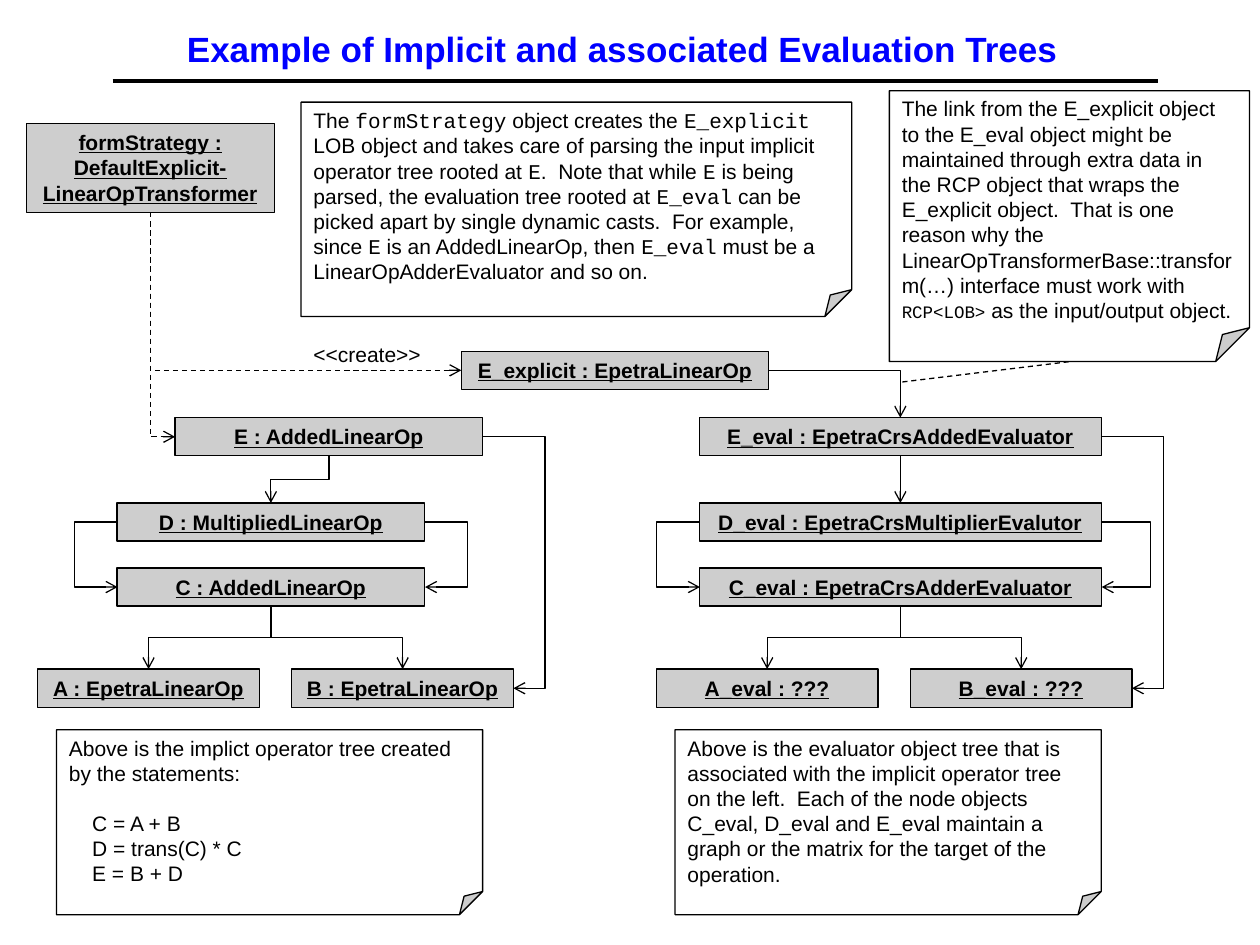
from dataclasses import dataclass

from lxml.etree import SubElement
from pptx import Presentation
from pptx.dml.color import RGBColor
from pptx.enum.dml import MSO_LINE
from pptx.enum.shapes import MSO_CONNECTOR, MSO_SHAPE
from pptx.enum.text import MSO_ANCHOR, PP_ALIGN
from pptx.oxml.ns import qn
from pptx.util import Cm, Pt

TOP, LEFT, BOTTOM, RIGHT = range(4)


@dataclass(frozen=True)
class Theme:
    ink: RGBColor = RGBColor(0, 0, 0)
    title: RGBColor = RGBColor(0, 0, 255)
    node: RGBColor = RGBColor(0xCE, 0xCE, 0xCE)
    note: RGBColor = RGBColor(255, 255, 255)
    sans: str = "Arial"
    mono: str = "Courier New"
    title_size: int = 20
    body_size: int = 12
    small_size: int = 10
    rule_width: float = 2
    line_width: float = 0.75


def side(box, which):
    """Middle of one side of a box."""
    x, y = box.left + box.width // 2, box.top + box.height // 2
    return ((x, box.top), (box.left, y),
            (x, box.top + box.height), (box.left + box.width, y))[which]


def adjust(item, name, ratio):
    """Set one adjustment of a preset geometry."""
    geometry = item._element.spPr.find(qn("a:prstGeom"))
    SubElement(geometry.find(qn("a:avLst")), qn("a:gd"),
               name=name, fmla=f"val {round(ratio * 100000)}")


class Diagram:
    def __init__(self, slide, theme):
        self.slide, self.theme = slide, theme

    def font(self, span, size=None, name=None, color=None, bold=False, underline=False):
        span.font.name = name or self.theme.sans
        span.font.size = Pt(size or self.theme.body_size)
        span.font.color.rgb = color or self.theme.ink
        span.font.bold, span.font.underline = bold, underline

    def text(self, text, x, y, width, height, align=PP_ALIGN.LEFT, wrap=True, **style):
        box = self.slide.shapes.add_textbox(Cm(x), Cm(y), Cm(width), Cm(height))
        box.text_frame.text = text
        box.text_frame.word_wrap = wrap
        box.text_frame.vertical_anchor = MSO_ANCHOR.MIDDLE
        para = box.text_frame.paragraphs[0]
        para.alignment = align
        self.font(para.runs[0], **style)

    def shape(self, kind, fill, x, y, width, height):
        box = self.slide.shapes.add_shape(kind, Cm(x), Cm(y), Cm(width), Cm(height))
        box.shadow.inherit = False
        box.fill.solid()
        box.fill.fore_color.rgb = fill
        box.line.color.rgb = self.theme.ink
        box.line.width = Pt(self.theme.line_width)
        box.text_frame.word_wrap = True
        return box

    def node(self, text, x, y, width, height=0.77):
        box = self.shape(MSO_SHAPE.RECTANGLE, self.theme.node, x, y, width, height)
        box.text_frame.text = text
        box.text_frame.vertical_anchor = MSO_ANCHOR.TOP
        para = box.text_frame.paragraphs[0]
        para.alignment = PP_ALIGN.CENTER
        self.font(para.runs[0], bold=True, underline=True)
        return box

    def note(self, text, x, y, width, height, code=(), mono_size=None):
        """Folded note; backticks mark monospaced words, code lines are indented below."""
        box = self.shape(MSO_SHAPE.FOLDED_CORNER, self.theme.note, x, y, width, height)
        adjust(box, "adj", 0.125)
        frame = box.text_frame
        frame.vertical_anchor = MSO_ANCHOR.MIDDLE
        para = frame.paragraphs[0]
        para.alignment = PP_ALIGN.LEFT
        for index, part in enumerate(text.split("`")):
            span = para.add_run()
            span.text = part
            if index % 2:
                self.font(span, mono_size, self.theme.mono)
            else:
                self.font(span)
        for index, line in enumerate(code):
            para = frame.add_paragraph()
            para.text = line
            para.alignment = PP_ALIGN.LEFT
            para._p.get_or_add_pPr().set("marL", str(Cm(0.47)))
            if index == 0:
                para.space_before = Pt(14)
            self.font(para.runs[0])
        return box

    def line(self, start, end, kind=MSO_CONNECTOR.STRAIGHT, width=None, dashed=False, arrow=False):
        connector = self.slide.shapes.add_connector(kind, *start, *end)
        connector.line.color.rgb = self.theme.ink
        connector.line.width = Pt(width or self.theme.line_width)
        if dashed:
            connector.line.dash_style = MSO_LINE.DASH
        if arrow:
            outline = connector._element.spPr.find(qn("a:ln"))
            SubElement(outline, qn("a:tailEnd"), type="arrow")
        SubElement(connector._element.spPr, qn("a:effectLst"))
        return connector

    def elbow(self, start, end, bend=None, down=False, dashed=False):
        """Arrow leaving sideways or down; bend is where it turns, None for one corner."""
        (x1, y1), (x2, y2) = start, end
        if x1 == x2:
            x2 += Cm(0.01)
        connector = self.line(start, (x2, y2), MSO_CONNECTOR.ELBOW, dashed=dashed, arrow=True)
        if bend is None:
            connector._element.spPr.find(qn("a:prstGeom")).set("prst", "bentConnector2")
        else:
            first, last = (y1, y2) if down else (x1, x2)
            adjust(connector, "adj1", (bend - first) / (last - first))
        if down:
            across, drop = abs(x2 - x1), y2 - y1
            connector.left = (x1 + x2 - drop) // 2
            connector.top = (y1 + y2 - across) // 2
            connector.width, connector.height = drop, across
            frame = connector._element.spPr.find(qn("a:xfrm"))
            frame.set("rot", str((270 if x2 > x1 else 90) * 60000))
            frame.set("flipH", "1" if x2 > x1 else "0")

    def drop(self, upper, lower):
        start, end = side(upper, BOTTOM), side(lower, TOP)
        if start[0] == end[0]:
            connector = self.line(start, end, arrow=True)
            connector.begin_connect(upper, BOTTOM)
            connector.end_connect(lower, TOP)
        else:
            self.elbow(start, end, (start[1] + end[1]) // 2, down=True)

    def tree(self, names, root_x, trunk_x, leaf_x, width, right_loop):
        """Operator tree of five nodes, named from E down to A and B; returns the root."""
        name_e, name_d, name_c, name_a, name_b = names
        e = self.node(name_e, root_x, 8.42, width)
        d = self.node(name_d, trunk_x, 10.14, width)
        c = self.node(name_c, trunk_x, 11.45, width)
        a = self.node(name_a, leaf_x, 13.49, 4.47)
        b = self.node(name_b, leaf_x + 5.12, 13.49, 4.47)
        for upper, lower in ((e, d), (c, a), (c, b)):
            self.drop(upper, lower)
        self.elbow(side(d, LEFT), side(c, LEFT), d.left - Cm(0.86))
        self.elbow(side(d, RIGHT), side(c, RIGHT), d.left + d.width + Cm(right_loop))
        self.elbow(side(e, RIGHT), side(b, RIGHT), b.left + b.width + Cm(0.64))
        return e


def main():
    deck = Presentation()
    deck.slide_width, deck.slide_height = Cm(25.4), Cm(19.05)
    theme = Theme()
    diagram = Diagram(deck.slides.add_slide(deck.slide_layouts[6]), theme)

    diagram.line((Cm(2.27), Cm(1.63)), (Cm(23.35), Cm(1.63)), width=theme.rule_width)
    diagram.text("Example of Implicit and associated Evaluation Trees", 1.75, 0.36, 21.6, 1.25,
                 align=PP_ALIGN.CENTER, size=theme.title_size, color=theme.title, bold=True)

    implicit_root = diagram.tree(
        ("E : AddedLinearOp", "D : MultipliedLinearOp", "C : AddedLinearOp",
         "A : EpetraLinearOp", "B : EpetraLinearOp"),
        root_x=3.53, trunk_x=2.36, leaf_x=0.76, width=6.2, right_loop=0.86)
    eval_root = diagram.tree(
        ("E_eval : EpetraCrsAddedEvaluator", "D_eval : EpetraCrsMultiplierEvalutor",
         "C_eval : EpetraCrsAdderEvaluator", "A_eval : ???", "B_eval : ???"),
        root_x=14.1, trunk_x=14.1, leaf_x=13.23, width=8.1, right_loop=1)

    explicit = diagram.node("E_explicit : EpetraLinearOp", 9.3, 7.08, 6.2)
    strategy = diagram.node("formStrategy : DefaultExplicit-LinearOpTransformer", 0.53, 2.49, 5, 1.79)
    diagram.elbow(side(explicit, RIGHT), side(eval_root, TOP))
    for target in (explicit, implicit_root):
        diagram.elbow(side(strategy, BOTTOM), side(target, LEFT), down=True, dashed=True)
    diagram.text("<<create>>", 6.07, 6.76, 2.67, 0.77, wrap=False)

    diagram.note("Above is the implict operator tree created by the statements:", 1.14, 14.71, 8.59, 3.73,
                 code=("C = A + B", "D = trans(C) * C", "E = B + D"))
    diagram.note("Above is the evaluator object tree that is associated with the implicit operator "
                 "tree on the left.  Each of the node objects C_eval, D_eval and E_eval maintain a "
                 "graph or the matrix for the target of the operation.", 13.61, 14.71, 8.59, 3.73)
    diagram.note("The `formStrategy` object creates the `E_explicit` LOB object and takes care of "
                 "parsing the input implicit operator tree rooted at `E`.  Note that while `E` is "
                 "being parsed, the evaluation tree rooted at `E_eval` can be picked apart by "
                 "single dynamic casts.  For example, since `E` is an AddedLinearOp, then `E_eval` "
                 "must be a LinearOpAdderEvaluator and so on.", 6.07, 2.06, 11.1, 4.32)
    link_note = diagram.note(
        "The link from the E_explicit object to the E_eval object might be maintained through "
        "extra data in the RCP object that wraps the E_explicit object.  That is one reason why "
        "the LinearOpTransformerBase::transform(…) interface must work with `RCP<LOB>` as the "
        "input/output object.", 17.93, 1.83, 7.26, 5.46, mono_size=theme.small_size)
    link = diagram.line((Cm(18.19), Cm(7.7)), side(link_note, BOTTOM), dashed=True)
    link.end_connect(link_note, BOTTOM)
    deck.save("out.pptx")


if __name__ == "__main__":
    main()
